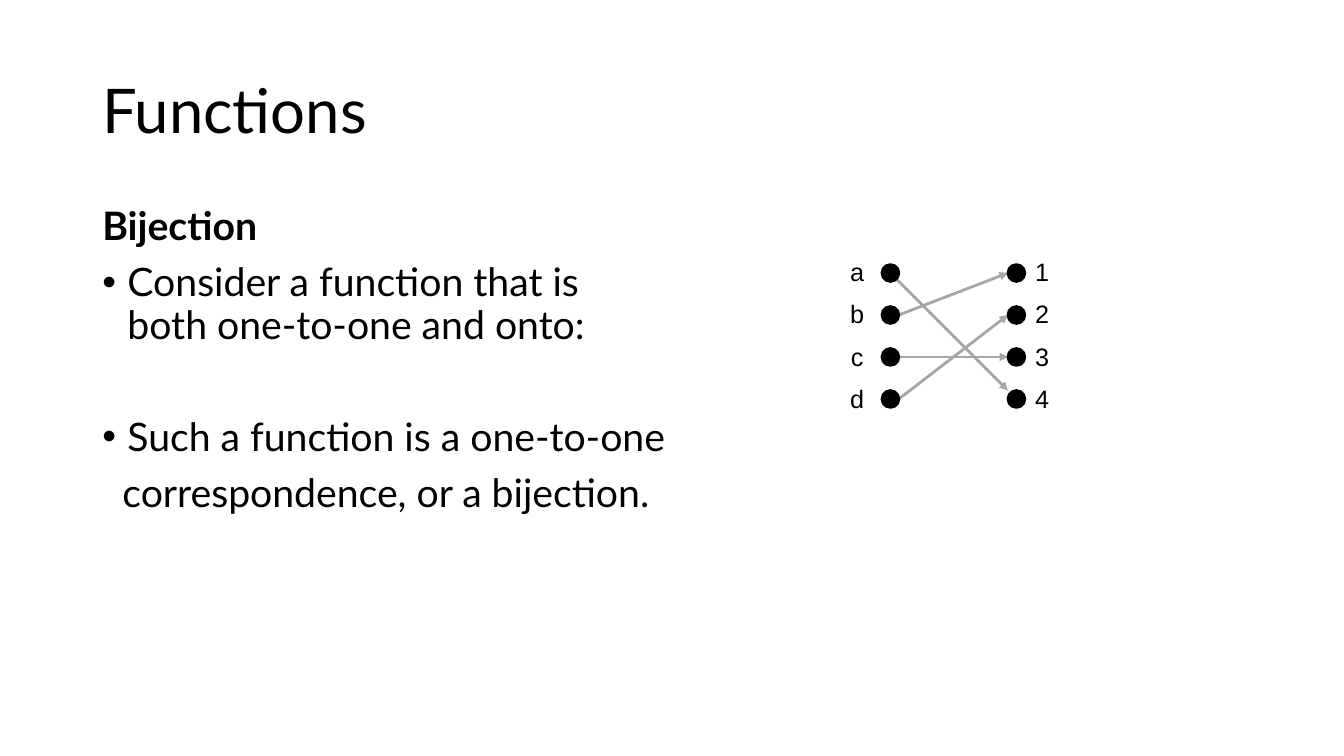
from lxml import etree
from pptx import Presentation
from pptx.dml.color import RGBColor
from pptx.enum.shapes import MSO_CONNECTOR as Connector, MSO_SHAPE as Shape
from pptx.enum.text import MSO_ANCHOR as Anchor, PP_ALIGN as Align
from pptx.oxml.ns import qn
from pptx.util import Inches, Pt

deck = Presentation()
deck.slide_width, deck.slide_height = Inches(13.333), Inches(7.5)
slide = deck.slides.add_slide(deck.slide_layouts[6])
unit = deck.slide_height / 18  # the slide is a grid of 32 columns by 18 rows


def color(hex_code):
    return RGBColor.from_string(hex_code)


def add_text(box, lines, font, layout, wrap=True, anchor=Anchor.TOP):
    """Each line is (text, own font values, own paragraph values, indent, bullet)."""
    frame = slide.shapes.add_textbox(*(int(n * unit) for n in box)).text_frame
    frame.word_wrap, frame.vertical_anchor = wrap, anchor
    for i, (text, own_font, own_layout, indent, bullet) in enumerate(lines):
        para = frame.paragraphs[0] if i == 0 else frame.add_paragraph()
        para.text = text
        props = para._p.get_or_add_pPr()
        props.set("marL", str(Inches(indent)))
        if bullet:
            props.set("indent", str(-Inches(indent)))
            etree.SubElement(props, qn("a:buFont"), typeface="Arial")
            etree.SubElement(props, qn("a:buChar"), char=bullet)
        for key, value in {**layout, **own_layout}.items():
            setattr(para, key, value)
        for run in para.runs:
            for key, value in {**font, **own_font}.items():
                setattr(run.font, key, value)
            run.font.color.rgb = color("000000")


# Title and body
prose = {"line_spacing": 0.9}
add_text((2.2, 0.96, 27.6, 3.48), [("Functions", {}, {}, 0, None)],
         {"name": "Lato", "size": Pt(44)}, prose, anchor=Anchor.MIDDLE)

near, far = {"space_before": Pt(10)}, {"space_before": Pt(50)}
add_text((2.2, 4.8, 27.6, 11.42), [
    ("Bijection", {"bold": True}, {}, 0, None),
    ("Consider a function that is\nboth one-to-one and onto:", {}, near, 0.25, "•"),
    ("Such a function is a one-to-one", {}, far, 0.25, "•"),
    ("correspondence, or a bijection.", {}, near, 0.2, None),
], {"name": "Lato", "size": Pt(28)}, prose)

# Labels of the domain and codomain
domain, codomain = "abcd", "1234"
for elements, left in ((codomain, 24.4), (domain, 20)):
    add_text((left, 5.7, 0.82, 4.27), [(e, {}, {}, 0, None) for e in elements],
             {"name": "Arial", "size": Pt(18)},
             {"line_spacing": 1.4, "alignment": Align.CENTER}, wrap=False)

# Mapping arrows, one row per element
domain_x, codomain_x, first_row, radius = 21.2, 24.2, 6.5, 0.2
for source, target in ("c3", "a4", "d2", "b1"):
    start_row = first_row + domain.index(source)
    end_row = first_row + codomain.index(target)
    start_x = domain_x + radius
    if end_row - start_row > 2:  # the steep arrow leaves the centre and lands on top
        start_x, end_row = domain_x, end_row - radius
    ends = (start_x, start_row, codomain_x - radius, end_row)
    arrow = slide.shapes.add_connector(Connector.STRAIGHT, *(int(n * unit) for n in ends))
    arrow.line.width = Pt(2)
    arrow.line.color.rgb = color("A6A6A6")
    etree.SubElement(arrow.line._get_or_add_ln(), qn("a:tailEnd"), type="triangle")
    etree.SubElement(arrow._element.spPr, qn("a:effectLst"))

# Dots
for center_x in (domain_x, codomain_x):
    for row in range(len(domain)):
        box = (center_x - radius, first_row + row - radius, 2 * radius, 2 * radius)
        dot = slide.shapes.add_shape(Shape.OVAL, *(int(n * unit) for n in box))
        dot.shadow.inherit = False
        dot.fill.solid()
        dot.fill.fore_color.rgb = dot.line.color.rgb = color("000000")
        dot.line.width = Pt(2)

deck.save("out.pptx")
